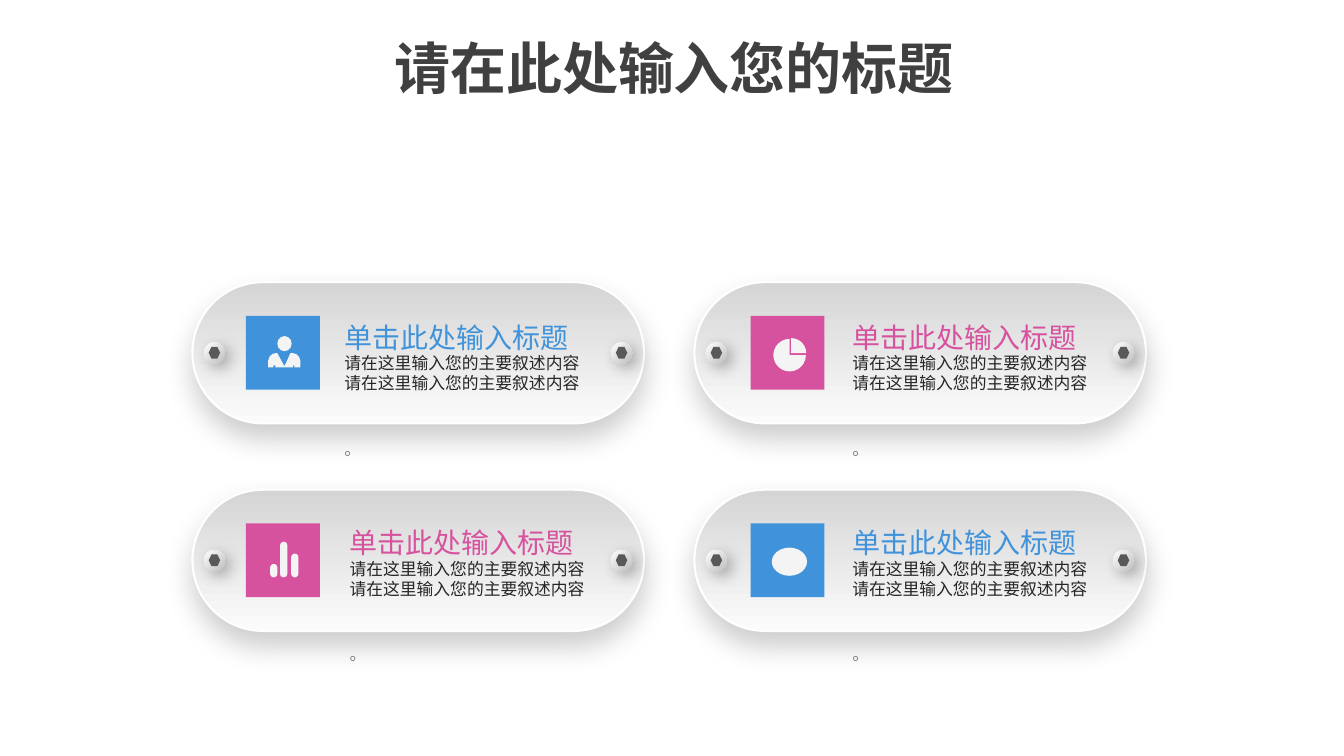
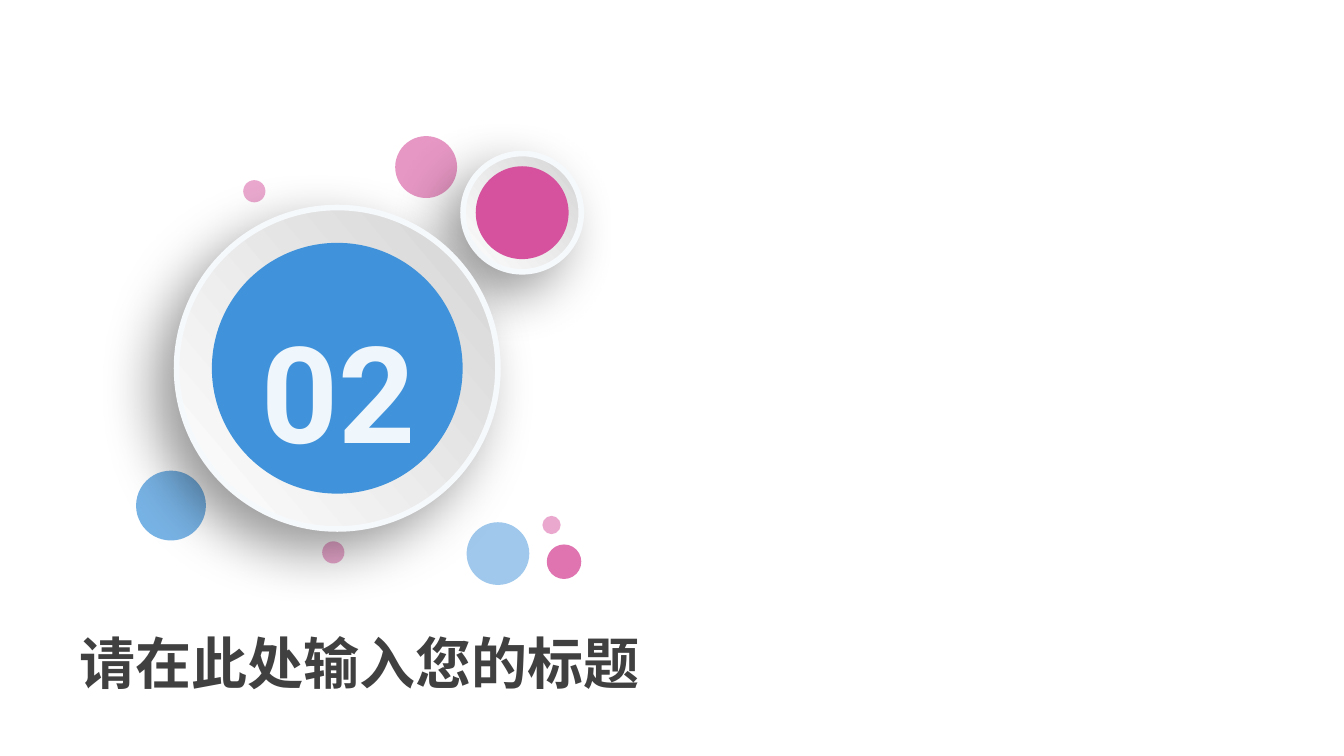
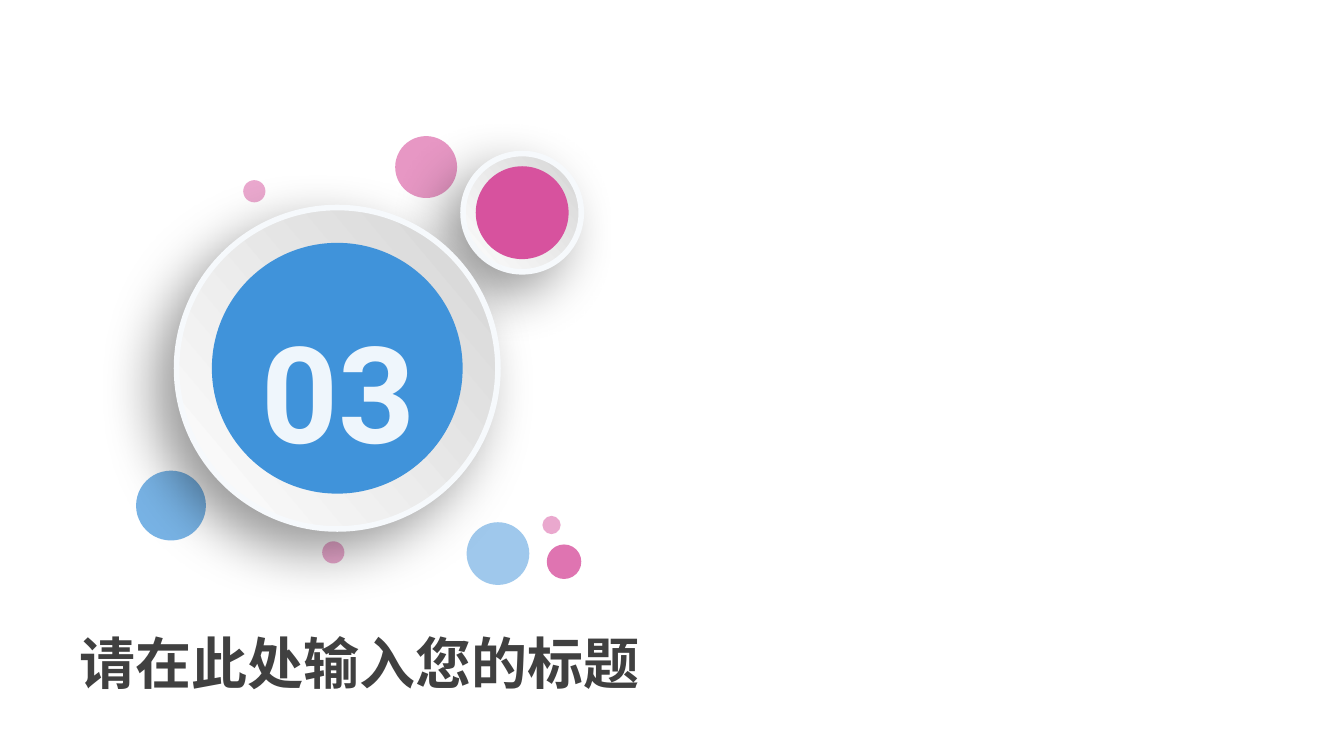
from lxml.etree import SubElement
from pptx import Presentation
from pptx.dml.color import RGBColor
from pptx.enum.shapes import MSO_SHAPE
from pptx.enum.text import MSO_ANCHOR, MSO_AUTO_SIZE, PP_ALIGN
from pptx.oxml.ns import qn
from pptx.util import Cm, Pt

HEX = {
    "blue": "4093DA", "pink": "D7529E", "title": "404040", "body": "262626",
    "dot": "808080", "num": "EFF6FC", "icon": "F5F4F5", "nut": "595959",
    "edge": "FFFFFF", "ring": "F6F9FC", "black": "000000",
}
PILL = ("D5D5D5", "FBFBFB", 90)
KNOB = ("FFFFFF", "BFBFBF", 45)
DISC = ("FFFFFF", "D4D4D4", 320)
# alpha %, blur pt, distance pt, angle
SHADE = {"pill": (20, 20, 10, 90), "knob": (29, 11, 5, 45),
         "disc": (40, 40, 20, 135)}
CJK = "Noto Sans CJK SC"
OVAL, ROUND, PIE = MSO_SHAPE.OVAL, MSO_SHAPE.ROUNDED_RECTANGLE, MSO_SHAPE.PIE

TITLE = "请在此处输入您的标题"
HEAD = "单击此处输入标题"
LINE = "请在这里输入您的主要叙述内容"

# Icon parts in cm from the tile corner: shape, x, y, w, h, adjustments
ICONS = {
    "person": [(OVAL, 0.79, 0.51, 0.36, 0.38, ())],
    "pie": [(PIE, 0.64, 0.56, 0.76, 0.76, (162, 0)),
            (PIE, 0.57, 0.58, 0.82, 0.82, (0, 162))],
    "bars": [(ROUND, x, y, 0.18, 1.36 - y, (0.5,))
             for x, y in [(0.61, 1.02), (0.86, 0.46), (1.14, 0.76)]],
    "spot": [(OVAL, 0.53, 0.61, 0.89, 0.71, ())],
}
BUST = [
    (0.56, 1.3), (0.56, 1.12), (0.6, 1.02), (0.67, 0.96), (0.74, 0.94),
    (0.79, 0.94), (0.97, 1.27), (1.12, 0.94), (1.19, 0.94), (1.28, 0.97),
    (1.34, 1.04), (1.37, 1.12), (1.37, 1.3), (1.22, 1.3), (1.22, 1.25),
    (1.19, 1.25), (1.19, 1.3), (0.74, 1.3), (0.74, 1.25), (0.69, 1.25),
    (0.69, 1.3),
]
# column, row, colour, icon, text offset
CARDS = [
    (0, 0, "blue", "person", 3.58), (1, 0, "pink", "pie", 3.73),
    (0, 1, "pink", "bars", 3.71), (1, 1, "blue", "spot", 3.73),
]
COLS, ROWS = (4.85, 17.5), (7.11, 12.34)
# x, y, size, colour, opacity %
DOTS = [
    (3.43, 11.86, 1.76, "blue", 70), (9.96, 3.43, 1.56, "pink", 60),
    (6.13, 4.54, 0.56, "pink", 50), (13.78, 13.72, 0.87, "pink", 80),
    (11.76, 13.16, 1.58, "blue", 50), (8.12, 13.64, 0.56, "pink", 50),
    (13.67, 13.0, 0.46, "pink", 50),
]
# ring x, y, size, inner size, colour
RINGS = [(11.67, 3.87, 2.98, 2.34, "pink"), (4.45, 5.23, 8.1, 6.32, "blue")]
NUMS = ["02", "03"]


def rgb(name):
    return RGBColor.from_string(HEX.get(name, name))


def paint(shape, fill, line=None, width=1, shade=None, alpha=None):
    """Set fill (name or gradient tuple), outline, shadow and opacity."""
    if isinstance(fill, tuple):
        shape.fill.gradient()
        shape.fill.gradient_angle = (360 - fill[2]) % 360
        for stop, tone in zip(shape.fill.gradient_stops, fill):
            stop.color.rgb = rgb(tone)
    else:
        shape.fill.solid()
        shape.fill.fore_color.rgb = rgb(fill)
    props = shape.element.spPr
    if alpha:
        SubElement(props.find(".//" + qn("a:srgbClr")), qn("a:alpha"),
                   val=str(alpha * 1000))
    if line:
        shape.line.color.rgb = rgb(line)
        shape.line.width = Pt(width)
    else:
        shape.line.fill.background()
    shape.shadow.inherit = False
    if shade:
        opac, blur, dist, turn = SHADE[shade]
        outer = SubElement(
            props.find(qn("a:effectLst")), qn("a:outerShdw"),
            blurRad=str(Pt(blur)), dist=str(Pt(dist)), dir=str(turn * 60000),
            algn="ctr", rotWithShape="0")
        tone = SubElement(outer, qn("a:srgbClr"), val=HEX["black"])
        SubElement(tone, qn("a:alpha"), val=str(opac * 1000))


def draw(slide, kind, x, y, w, h, fill, adj=(), **look):
    shape = slide.shapes.add_shape(kind, Cm(x), Cm(y), Cm(w), Cm(h))
    for i, val in enumerate(adj):
        shape.adjustments[i] = val
    paint(shape, fill, **look)


def write(par, text, size, color, lead, font=CJK, bold=False, align="LEFT",
          gap=0):
    par.alignment = getattr(PP_ALIGN, align)
    par.line_spacing, par.space_before = Pt(lead), Pt(gap)
    run = par.add_run()
    run.text = text
    run.font.size, run.font.bold, run.font.name = Pt(size), bold, font
    run.font.color.rgb = rgb(color)
    SubElement(run.font._element, qn("a:ea"), typeface=CJK)


def frame(shape):
    text = shape.text_frame
    text.word_wrap = True
    text.auto_size = MSO_AUTO_SIZE.NONE
    text.vertical_anchor = MSO_ANCHOR.TOP
    return text


def new_box(slide, x, y, w, h):
    return frame(slide.shapes.add_textbox(Cm(x), Cm(y), Cm(w), Cm(h)))


def new_slide(deck, x, y):
    """Add a slide with its title at x, y."""
    slide = deck.slides.add_slide(deck.slide_layouts[5])
    head = slide.shapes.title
    head.left, head.top, head.width, head.height = (
        Cm(x), Cm(y), Cm(14.81), Cm(1.96))
    write(frame(head).paragraphs[0], TITLE, 40, "title", 51, bold=True,
          align="CENTER")
    return slide


def add_card(slide, col, row, color, icon, shift):
    x, y = COLS[col], ROWS[row]
    draw(slide, ROUND, x, y, 11.38, 3.56, PILL, (0.5,), line="edge",
         width=1.5, shade="pill")
    for kx in (x + 0.29, x + 10.55):
        draw(slide, OVAL, kx, y + 1.52, 0.53, 0.53, KNOB, shade="knob")
        draw(slide, MSO_SHAPE.HEXAGON, kx + 0.12, y + 1.63, 0.29, 0.3, "nut")
    tx, ty = x + (1.35, 1.42)[col], y + 0.85
    draw(slide, MSO_SHAPE.RECTANGLE, tx, ty, 1.86, 1.86, color)
    for kind, dx, dy, w, h, adj in ICONS[icon]:
        draw(slide, kind, tx + dx, ty + dy, w, h, "icon", adj)
    if icon == "person":
        pts = [(Cm(tx + px), Cm(ty + py)) for px, py in BUST]
        form = slide.shapes.build_freeform(*pts[0])
        form.add_line_segments(pts[1:], close=True)
        paint(form.convert_to_shape(), "icon")
    text = new_box(slide, x + shift, y + (0.76, 0.71)[row], 6.5, 3.94)
    write(text.paragraphs[0], HEAD, 20, color, 26)
    for _ in range(2):
        write(text.add_paragraph(), LINE, 12, "body", 14)
    write(text.add_paragraph(), "。", 12, "dot", 14, font="Arial", gap=33)


def add_section(deck, num):
    slide = new_slide(deck, 1.65, 15.6)
    for x, y, size, color, alpha in DOTS:
        draw(slide, OVAL, x, y, size, size, color, alpha=alpha)
    for x, y, size, core, color in RINGS:
        pad = (size - core) / 2
        draw(slide, OVAL, x, y, size, size, DISC, line="ring", width=4,
             shade="disc")
        draw(slide, OVAL, x + pad, y + pad, core, core, color)
    text = new_box(slide, 5.5, 7.49, 6.06, 4.37)
    write(text.paragraphs[0], num, 96, "num", 120, font="Roboto", bold=True,
          align="CENTER")


def main():
    deck = Presentation()
    deck.slide_width, deck.slide_height = Cm(33.87), Cm(19.05)
    slide = new_slide(deck, 9.58, 0.61)
    for card in CARDS:
        add_card(slide, *card)
    for num in NUMS:
        add_section(deck, num)
    deck.save("out.pptx")


if __name__ == "__main__":
    main()
